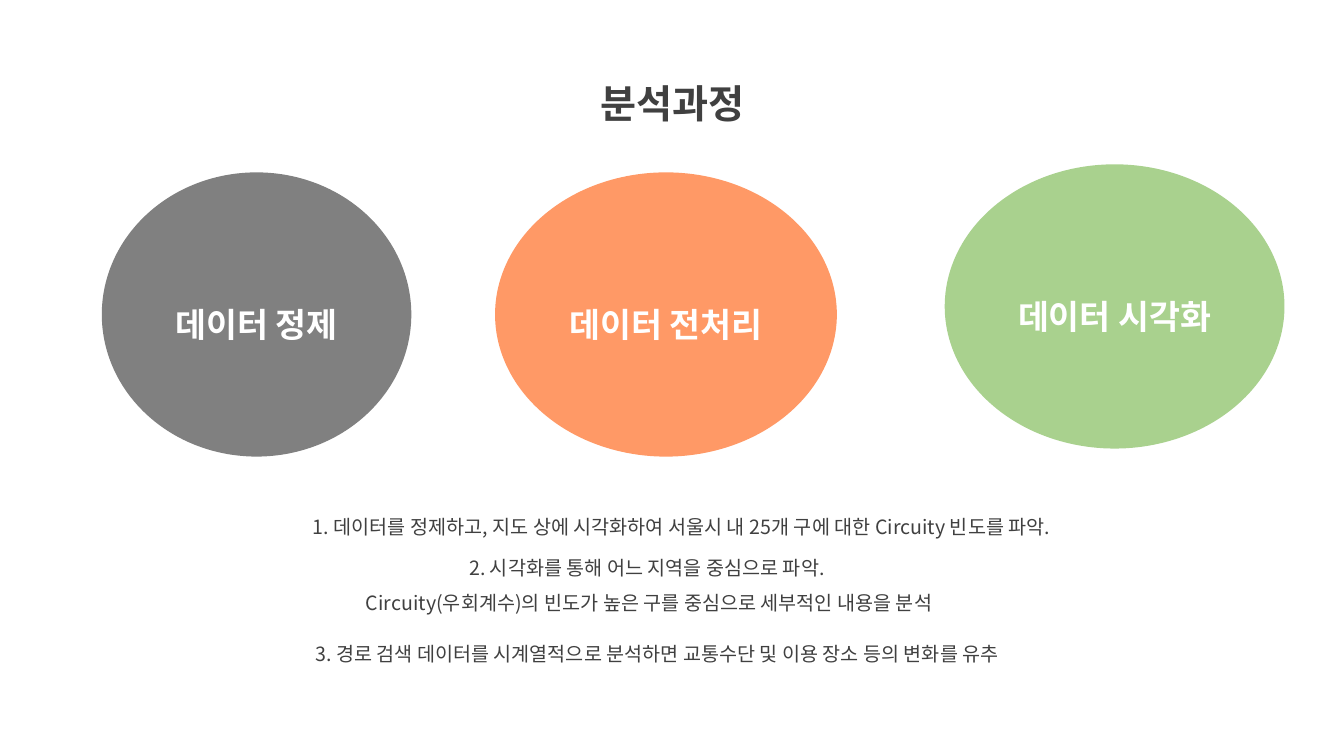
from lxml.etree import SubElement
from pptx import Presentation
from pptx.dml.color import RGBColor
from pptx.enum.shapes import MSO_SHAPE
from pptx.enum.text import MSO_ANCHOR, PP_ALIGN
from pptx.oxml.ns import qn
from pptx.util import Inches, Pt

FONT = "Noto Sans CJK KR"
DARK = RGBColor(0x40, 0x40, 0x40)
WHITE = RGBColor(0xFF, 0xFF, 0xFF)
GRAY = RGBColor(0x80, 0x80, 0x80)
ORANGE = RGBColor(0xFF, 0x99, 0x66)
GREEN = RGBColor(0xA9, 0xD1, 0x8E)

TITLE_BOX = (4.36, 0.5, 4.63, 0.72)
STAGES = [
    ("데이터 정제", GRAY, (1.01, 1.71, 3.07, 2.82)),
    ("데이터 전처리", ORANGE, (4.91, 1.71, 3.39, 2.82)),
    ("데이터 시각화", GREEN, (9.37, 1.63, 3.37, 2.82)),
]
NOTES = [
    ("1. 데이터를 정제하고, 지도 상에 시각화하여 서울시 내 25개 구에 대한 Circuity 빈도를 파악.",
     (2.48, 4.94, 8.56, 0.45)),
    ("2. 시각화를 통해 어느 지역을 중심으로 파악. \n"
     "Circuity(우회계수)의 빈도가 높은 구를 중심으로 세부적인 내용을 분석",
     (1.12, 5.35, 10.64, 0.76)),
    ("3. 경로 검색 데이터를 시계열적으로 분석하면 교통수단 및 이용 장소 등의 변화를 유추",
     (2.24, 6.2, 8.56, 0.45)),
]


def write_text(sp, text, size, color, bold=False):
    """Fill a shape with centred, widely spaced text."""
    tf = sp.text_frame
    tf.word_wrap = True
    tf.text = text
    for p in tf.paragraphs:
        p.alignment = PP_ALIGN.CENTER
        p.line_spacing = 1.5
        for r in p.runs:
            r.font.size = Pt(size)
            r.font.bold = bold
            r.font.color.rgb = color
            r.font.name = FONT
            SubElement(r.font._element, qn("a:ea"), typeface=FONT)


def add_text(s, box, text, size, bold=False):
    """Place a dark text box in the given box."""
    sp = s.shapes.add_textbox(*map(Inches, box))
    write_text(sp, text, size, DARK, bold)


def add_stage(s, box, label, fill):
    """Place one labelled ellipse of the process in the given box."""
    sp = s.shapes.add_shape(MSO_SHAPE.OVAL, *map(Inches, box))
    sp.shadow.inherit = False
    sp.fill.solid()
    sp.fill.fore_color.rgb = fill
    sp.line.fill.background()
    sp.text_frame.vertical_anchor = MSO_ANCHOR.MIDDLE
    write_text(sp, label, 24, WHITE, bold=True)


def build_process_slide(prs):
    """Add the slide with a title, three stages and numbered notes."""
    s = prs.slides.add_slide(prs.slide_layouts[6])
    add_text(s, TITLE_BOX, "분석과정", 28, bold=True)
    for label, fill, box in STAGES:
        add_stage(s, box, label, fill)
    for text, box in NOTES:
        add_text(s, box, text, 14)


def main():
    """Build and save the presentation."""
    prs = Presentation()
    prs.slide_width, prs.slide_height = Inches(13.33), Inches(7.5)
    build_process_slide(prs)
    prs.save("out.pptx")


if __name__ == "__main__":
    main()
